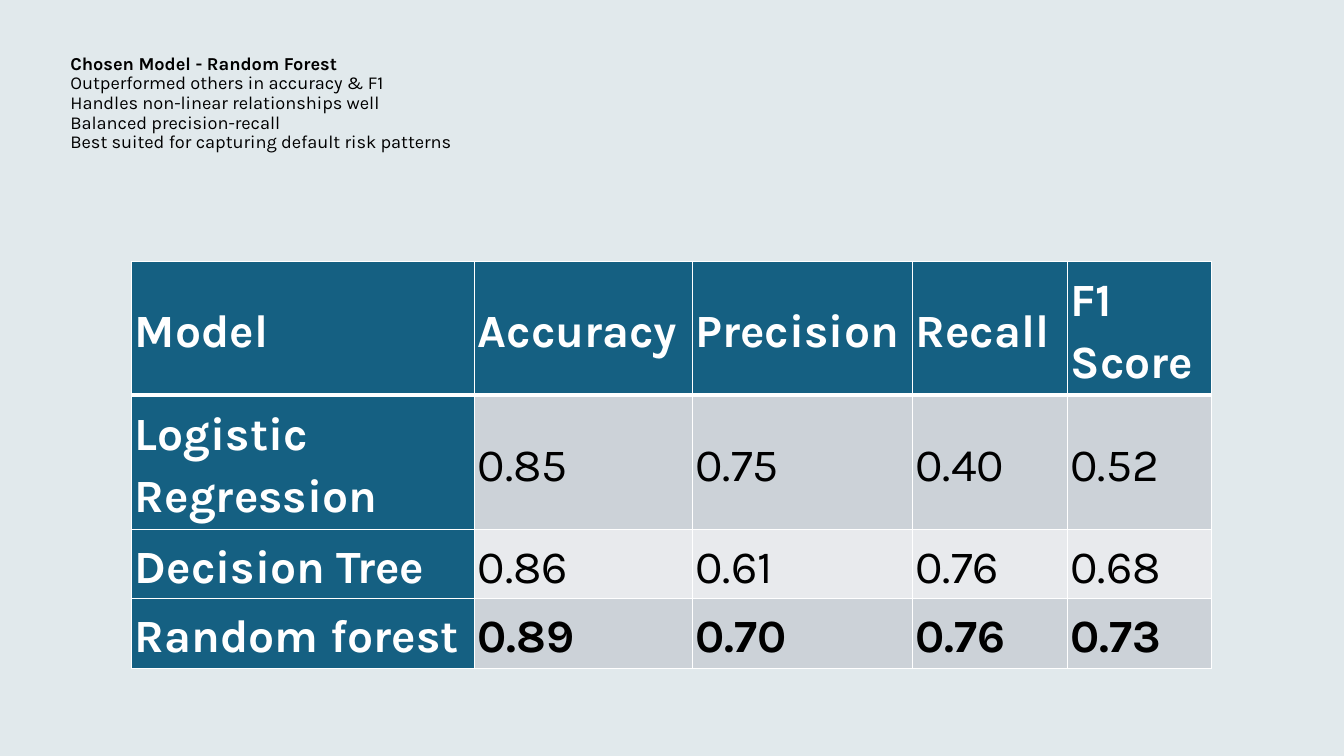
from dataclasses import dataclass

from lxml.etree import SubElement
from pptx import Presentation
from pptx.dml.color import RGBColor as RGB
from pptx.enum.shapes import MSO_SHAPE as Shape
from pptx.enum.text import MSO_ANCHOR as Anchor, MSO_AUTO_SIZE as AutoSize, PP_ALIGN as Align
from pptx.oxml import parse_xml
from pptx.oxml.ns import nsdecls, qn
from pptx.util import Cm, Pt


@dataclass(frozen=True)
class Theme:
    font: str = "Karla"
    title_size: int = 13
    table_size: int = 33
    base: str = "F2F2F2"
    tint: str = "0B76A0"
    tint_percent: int = 7
    header: str = "156082"
    bands: tuple = ("CCD2D8", "E8EAED")
    dark: str = "000000"
    light: str = "FFFFFF"
    line: int = 1
    header_line: int = 3


THEME = Theme()

TITLE_LINES = [
    "Chosen Model - Random Forest",
    "Outperformed others in accuracy & F1",
    "Handles non-linear relationships well",
    "Balanced precision-recall",
    "Best suited for capturing default risk patterns",
]
SCORES = [
    ["Model", "Accuracy", "Precision", "Recall", "F1 Score"],
    ["Logistic Regression", "0.85", "0.75", "0.40", "0.52"],
    ["Decision Tree", "0.86", "0.61", "0.76", "0.68"],
    ["Random forest", "0.89", "0.70", "0.76", "0.73"],
]
COLUMN_WIDTHS = [8.64, 5.49, 5.54, 3.91, 3.63]
ROW_HEIGHTS = [3.38, 3.38, 1.75, 1.75]
CHOSEN_ROW = len(SCORES) - 1


def format_run(r, size, color, bold):
    r.font.name = THEME.font
    r.font.size = Pt(size)
    r.font.bold = bold
    r.font.color.rgb = RGB.from_string(color)


def add_backdrop(slide, prs, color, depth, percent=100):
    """Cover the slide with one colour, at the given depth from the back."""
    sp = slide.shapes.add_shape(Shape.RECTANGLE, 0, 0, prs.slide_width, prs.slide_height)
    sp.shadow.inherit = False
    sp.line.fill.background()
    sp.fill.solid()
    sp.fill.fore_color.rgb = RGB.from_string(color)
    if percent < 100:
        clr = sp.fill._xPr.find(qn("a:solidFill")).find(qn("a:srgbClr"))
        SubElement(clr, qn("a:alpha")).set("val", str(percent * 1000))
    # The first two children of the tree are its own properties
    slide.shapes._spTree.insert(2 + depth, sp._element)


def fill_title(title, lines):
    title.left, title.top, title.width, title.height = Cm(1.52), Cm(1.02), Cm(30.81), Cm(3.68)
    tf = title.text_frame
    tf.word_wrap = True
    tf.auto_size = AutoSize.NONE
    tf.vertical_anchor = Anchor.MIDDLE
    tf.margin_bottom = Cm(0.62)
    p = tf.paragraphs[0]
    p.text = "\v".join(lines)
    p.alignment = Align.LEFT
    p.line_spacing = 0.9
    for i, r in enumerate(p.runs):
        format_run(r, THEME.title_size, THEME.dark, bold=i == 0)


def set_borders(cell, bottom):
    widths = {"lnL": THEME.line, "lnR": THEME.line, "lnT": THEME.line, "lnB": bottom}
    tc_pr = cell._tc.get_or_add_tcPr()
    for i, (side, width) in enumerate(widths.items()):
        tc_pr.insert(i, parse_xml(
            f'<a:{side} {nsdecls("a")} w="{Pt(width)}"><a:solidFill>'
            f'<a:srgbClr val="{THEME.light}"/></a:solidFill></a:{side}>'))


def fill_cell(cell, text, fill, color, bold, bottom):
    cell.fill.solid()
    cell.fill.fore_color.rgb = RGB.from_string(fill)
    cell.vertical_anchor = Anchor.MIDDLE
    cell.margin_left = cell.margin_right = cell.margin_top = cell.margin_bottom = Cm(0.08)
    p = cell.text_frame.paragraphs[0]
    p.text = text
    p.line_spacing = 1.15
    p.space_after = Pt(8)
    format_run(p.runs[0], THEME.table_size, color, bold)
    set_borders(cell, bottom)


def add_score_table(slide, rows, widths, heights):
    table = slide.shapes.add_table(
        len(rows), len(widths), Cm(3.32), Cm(6.58), Cm(sum(widths)), Cm(sum(heights))).table
    table.first_col = True
    for column, width in zip(table.columns, widths):
        column.width = Cm(width)
    for i, row in enumerate(rows):
        table.rows[i].height = Cm(heights[i])
        bottom = THEME.line if i else THEME.header_line
        for j, text in enumerate(row):
            heading = i == 0 or j == 0
            fill = THEME.header if heading else THEME.bands[(i - 1) % 2]
            color = THEME.light if heading else THEME.dark
            fill_cell(table.cell(i, j), text, fill, color, heading or i == CHOSEN_ROW, bottom)


def main():
    prs = Presentation()
    prs.slide_width, prs.slide_height = Cm(33.87), Cm(19.05)
    slide = prs.slides.add_slide(prs.slide_layouts[5])

    # Tinted background
    add_backdrop(slide, prs, THEME.base, 0)
    add_backdrop(slide, prs, THEME.tint, 1, THEME.tint_percent)

    # Title with the reasons for the choice
    fill_title(slide.shapes.title, TITLE_LINES)

    # Model comparison
    add_score_table(slide, SCORES, COLUMN_WIDTHS, ROW_HEIGHTS)

    prs.save("out.pptx")


if __name__ == "__main__":
    main()
